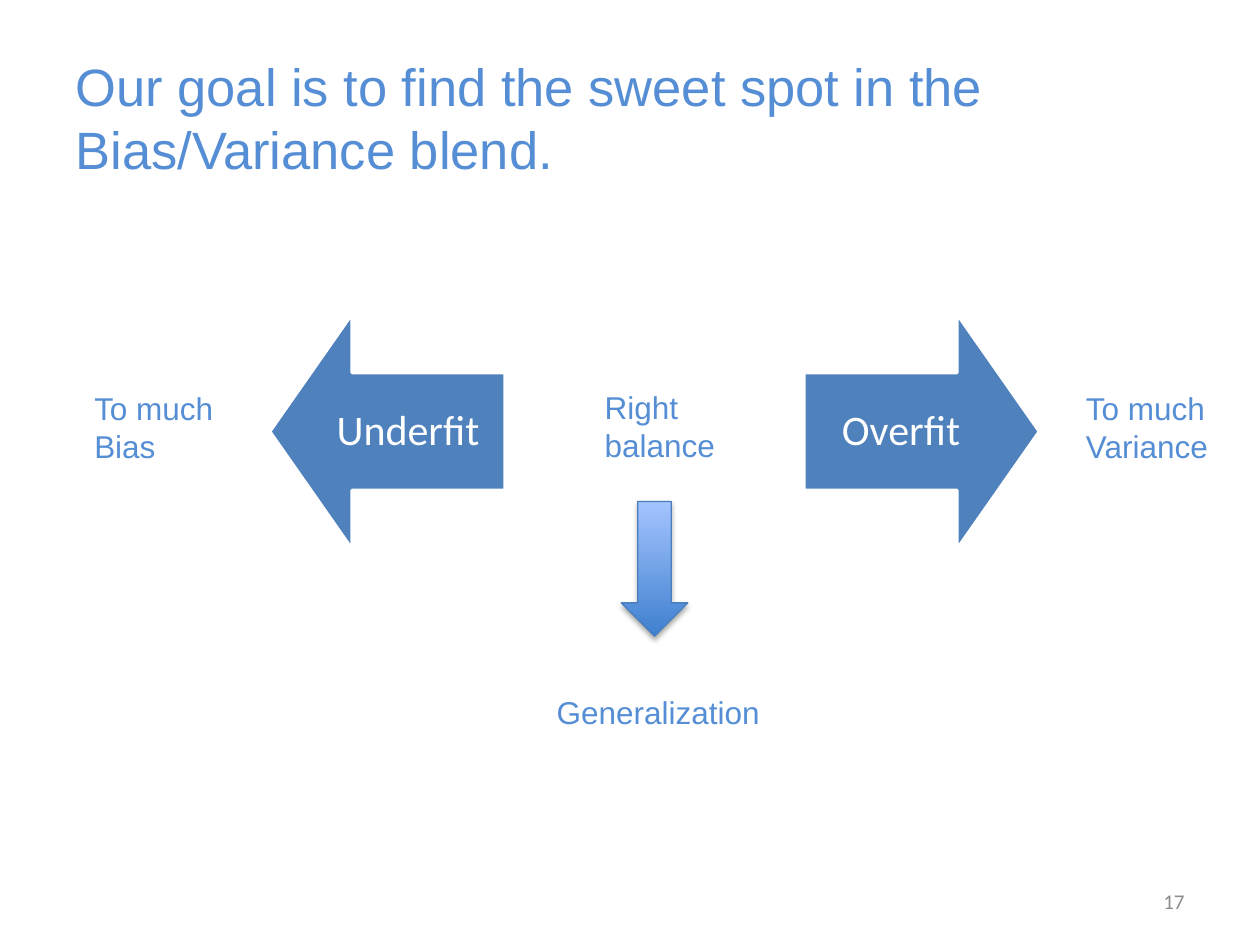
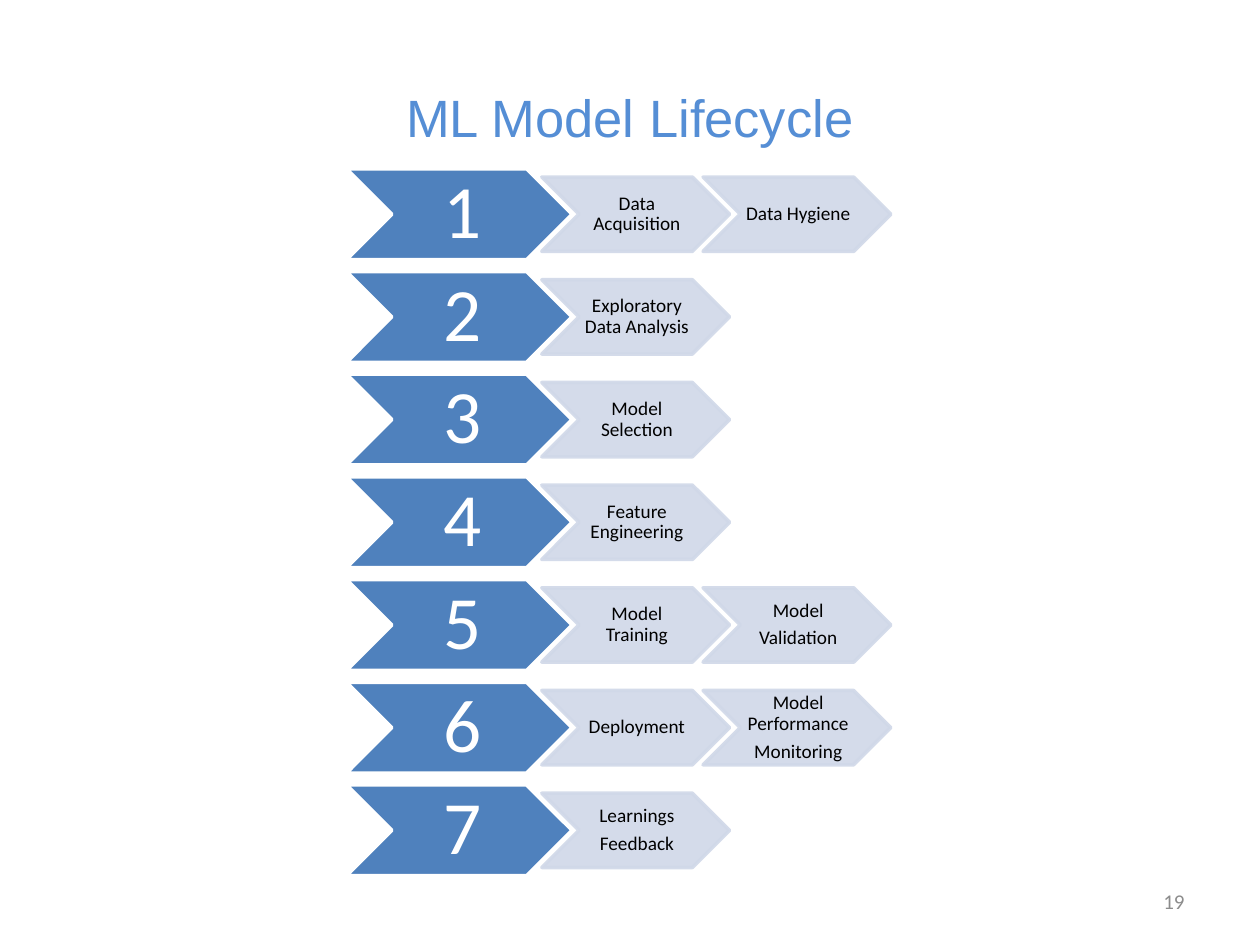
from dataclasses import dataclass

from lxml import etree
from pptx import Presentation
from pptx import util as u
from pptx.dml import color
from pptx.enum import shapes, text
from pptx.oxml import ns

COLUMNS, ROWS = 100, 75
TITLE_ONLY = 5


@dataclass(frozen=True)
class Theme:
    heading: str = "558ED5"
    strong: str = "4F81BD"
    pale: str = "D0D8E8"
    white: str = "FFFFFF"
    black: str = "000000"
    grey: str = "8C8C8C"
    gradient_dark: str = "3F80CE"
    gradient_light: str = "A4C4FF"
    gradient_edge: str = "4B7EBC"
    display_font: str = "Arial"
    body_font: str = "Calibri"
    title_size: int = 30
    label_size: int = 18
    arrow_size: int = 24
    number_size: int = 43
    step_size: int = 11
    footer_size: int = 12


THEME = Theme()


@dataclass(frozen=True)
class Box:
    left: float
    top: float
    width: float
    height: float

    def inner(self, left, top, width, height):
        return Box(self.left + left, self.top + top, width, height)

    def lengths(self):
        unit_x = u.Inches(10) / COLUMNS
        unit_y = u.Inches(7.5) / ROWS
        return [round(value * unit) for value, unit in
                zip((self.left, self.top, self.width, self.height),
                    (unit_x, unit_y, unit_x, unit_y))]


PAGE = Box(0, 0, COLUMNS, ROWS)


def rgb(value):
    return color.RGBColor.from_string(value)


def write(shape, content, *, size, fill, font=THEME.body_font,
          align=text.PP_ALIGN.LEFT, anchor=text.MSO_ANCHOR.MIDDLE,
          wrap=True, fit=text.MSO_AUTO_SIZE.NONE, insets=None,
          line_spacing=None, space_after=None):
    frame = shape.text_frame
    frame.text = content
    frame.word_wrap = wrap
    frame.auto_size = fit
    frame.vertical_anchor = anchor
    if insets:
        (frame.margin_left, frame.margin_top, frame.margin_right,
         frame.margin_bottom) = [u.Inches(inset) for inset in insets]
    for para in frame.paragraphs:
        para.alignment = align
        if line_spacing:
            para.line_spacing = line_spacing
        if space_after is not None:
            para.space_after = u.Pt(size * space_after)
        for span in para.runs:
            span.font.name = font
            span.font.size = u.Pt(size)
            span.font.color.rgb = rgb(fill)


def add_text(page, box, content, **style):
    shape = page.shapes.add_textbox(*box.lengths())
    write(shape, content, **style)


def add_label(page, box, content):
    add_text(page, box, content, size=THEME.label_size, fill=THEME.heading,
             font=THEME.display_font, anchor=text.MSO_ANCHOR.TOP,
             wrap=False, fit=text.MSO_AUTO_SIZE.SHAPE_TO_FIT_TEXT)


def add_preset(page, kind, box, fill, line, line_width=2):
    shape = page.shapes.add_shape(kind, *box.lengths())
    shape.shadow.inherit = False
    shape.fill.solid()
    shape.fill.fore_color.rgb = rgb(fill)
    shape.line.color.rgb = rgb(line)
    shape.line.width = u.Pt(line_width)
    return shape


def write_diagram(shape, content, **style):
    write(shape, content, align=text.PP_ALIGN.CENTER,
          line_spacing=0.9, space_after=0.35, **style)


def add_child(parent, tag, **attributes):
    return etree.SubElement(parent, ns.qn(tag), attributes)


def make_translucent(shape, percent):
    for paint in shape.element.spPr.iter(ns.qn("a:srgbClr")):
        add_child(paint, "a:alpha", val=str(percent * 1000))


def add_soft_shadow(shape):
    effects = shape.element.spPr.find(ns.qn("a:effectLst"))
    shadow = add_child(effects, "a:outerShdw", blurRad=str(u.Pt(3.1)),
                       dist=str(u.Pt(1.8)), dir="5400000", rotWithShape="0")
    paint = add_child(shadow, "a:srgbClr", val=THEME.black)
    add_child(paint, "a:alpha", val="35000")


def add_page(deck, title, number, align=text.PP_ALIGN.LEFT):
    page = deck.slides.add_slide(deck.slide_layouts[TITLE_ONLY])
    heading = page.shapes.title
    heading.left, heading.top, heading.width, heading.height = \
        PAGE.inner(5, 3, 90, 12.5).lengths()
    write(heading, title, size=THEME.title_size, fill=THEME.heading,
          font=THEME.display_font, align=align)
    add_text(page, PAGE.inner(71.7, 69.5, 23.3, 4), number,
             size=THEME.footer_size, fill=THEME.grey,
             align=text.PP_ALIGN.RIGHT)
    return page


def add_fit_arrow(page, kind, box, content):
    arrow = add_preset(page, kind, box, THEME.strong, THEME.white)
    arrow.adjustments[0] = 0.5
    arrow.adjustments[1] = 0.35
    write_diagram(arrow, content, size=THEME.arrow_size, fill=THEME.white,
                  insets=(0.19,) * 4)


def add_balance_arrow(page, box):
    arrow = add_preset(page, shapes.MSO_SHAPE.DOWN_ARROW, box,
                       THEME.strong, THEME.gradient_edge, 0.75)
    arrow.fill.gradient()
    arrow.fill.gradient_angle = 90
    stops = arrow.fill.gradient_stops
    for stop, paint in zip(stops, (THEME.gradient_dark, THEME.gradient_light)):
        stop.color.rgb = rgb(paint)
    add_soft_shadow(arrow)


def draw_balance(page, box):
    side = 18.7
    add_fit_arrow(page, shapes.MSO_SHAPE.LEFT_ARROW,
                  box.inner(14.9, 0, side, side), "Underfit")
    add_fit_arrow(page, shapes.MSO_SHAPE.RIGHT_ARROW,
                  box.inner(57.3, 0, side, side), "Overfit")
    add_label(page, box.inner(78.7, 5.5, 12.3, 7.1), "To much\nVariance")
    add_label(page, box.inner(0, 5.5, 12.3, 7.1), "To much\nBias")
    add_label(page, box.inner(40.5, 5.4, 10.9, 7.1), "Right\nbalance")
    add_balance_arrow(page, box.inner(42.8, 14.9, 5.3, 10.7))
    add_label(page, box.inner(36.7, 29.6, 18.3, 4), "Generalization")


def add_stage(page, box, number, steps):
    chevron = shapes.MSO_SHAPE.CHEVRON
    marker = add_preset(page, chevron, box.inner(0, 0, 17.9, box.height),
                        THEME.strong, THEME.white)
    write_diagram(marker, str(number), size=THEME.number_size,
                  fill=THEME.white, insets=(0.06, 0.03, 0, 0.03))
    step_height = 5.9
    for index, step in enumerate(steps):
        place = box.inner(15.5 + 12.8 * index,
                          (box.height - step_height) / 2, 14.9, step_height)
        shape = add_preset(page, chevron, place, THEME.pale, THEME.pale)
        make_translucent(shape, 90)
        write_diagram(shape, step, size=THEME.step_size, fill=THEME.black,
                      insets=(0.02, 0.01, 0, 0.01))


def draw_lifecycle(page, box, stages):
    height = 7.2
    pitch = (box.height - height) / (len(stages) - 1)
    for index, steps in enumerate(stages):
        add_stage(page, box.inner(0, pitch * index, box.width, height),
                  index + 1, steps)


LIFECYCLE = [
    ["Data Acquisition", "Data Hygiene"],
    ["Exploratory Data Analysis"],
    ["Model Selection"],
    ["Feature Engineering"],
    ["Model Training", "Model\nValidation"],
    ["Deployment", "Model Performance\nMonitoring"],
    ["Learnings\nFeedback"],
]


def main():
    deck = Presentation()
    deck.slide_width, deck.slide_height = PAGE.lengths()[2:]
    page = add_page(deck, "Our goal is to find the sweet spot in the "
                          "Bias/Variance blend.", "17")
    draw_balance(page, PAGE.inner(6.5, 24.9, 91, 33.6))
    page = add_page(deck, "ML Model Lifecycle", "19", text.PP_ALIGN.CENTER)
    draw_lifecycle(page, PAGE.inner(27.5, 13.4, 43.2, 56.1), LIFECYCLE)
    deck.save("out.pptx")


if __name__ == "__main__":
    main()
